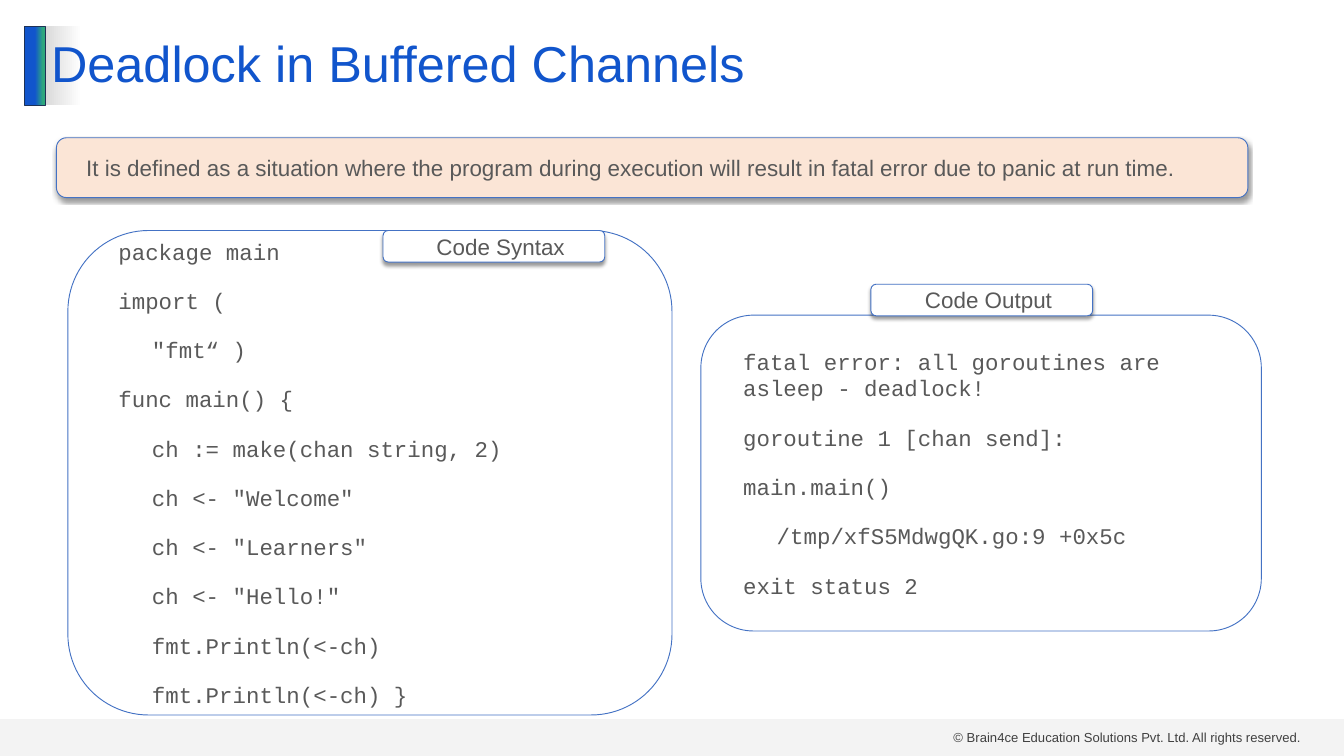
from lxml.etree import SubElement
from pptx import Presentation
from pptx.dml.color import RGBColor
from pptx.enum.shapes import MSO_SHAPE as Shape
from pptx.enum.text import MSO_ANCHOR as Anchor, PP_ALIGN as Align
from pptx.oxml.ns import qn
from pptx.util import Inches, Pt

TITLE = "Deadlock in Buffered Channels"
DEFINITION = ("It is defined as a situation where the program during execution "
              "will result in fatal error due to panic at run time.")
COPYRIGHT = "© Brain4ce Education Solutions Pvt. Ltd. All rights reserved."

PANELS = [
    {
        "label": "Code Syntax", "at": (1.01, 3.43, 8.99, 7.21), "label_at": (5.7, 3.43),
        "lines": [
            (0, "package main"),
            (0, "import ("),
            (1, '"fmt“ )'),
            (0, "func main() {"),
            (1, "ch := make(chan string, 2)"),
            (1, 'ch <- "Welcome"'),
            (1, 'ch <- "Learners"'),
            (1, 'ch <- "Hello!"'),
            (1, "fmt.Println(<-ch)"),
            (1, "fmt.Println(<-ch) }"),
        ],
    },
    {
        "label": "Code Output", "at": (10.43, 4.69, 8.34, 4.7), "label_at": (12.96, 4.23),
        "lines": [
            (0, "fatal error: all goroutines are asleep - deadlock!"),
            (0, "goroutine 1 [chan send]:"),
            (0, "main.main()"),
            (1, "/tmp/xfS5MdwgQK.go:9 +0x5c"),
            (0, "exit status 2"),
        ],
    },
]

THEME = {
    "sans": "Arial", "mono": "Courier New",
    "title_size": 54, "body_size": 24, "footer_size": 14, "gap": 12,
    "blue": "1155CC", "green": "2EA87D", "navy": "1E3256", "outline": "4472C4",
    "text": "595959", "footer_text": "404040", "gray": "D9D9D9",
    "white": "FFFFFF", "peach": "FBE5D6",
}
LABEL_SIZE = (3.3, 0.47)
TEXT_INDENT, CODE_STEP = 0.2, 0.5


def color(name):
    return RGBColor.from_string(THEME[name])


def write(box, lines, font="sans", size="body_size", ink="text", align=Align.LEFT,
          indent=0, gap=0, spacing=None, anchor=Anchor.MIDDLE, insets=(0.1, 0.05)):
    frame = box.text_frame
    frame.word_wrap = True
    frame.vertical_anchor = anchor
    frame.margin_left = frame.margin_right = Inches(insets[0])
    frame.margin_top = frame.margin_bottom = Inches(insets[1])
    for number, (depth, text) in enumerate(lines):
        para = frame.add_paragraph() if number else frame.paragraphs[0]
        para.alignment = align
        para.line_spacing = spacing
        para.space_before = Pt(gap if number else 0)
        para.space_after = Pt(gap)
        properties = para._p.get_or_add_pPr()
        properties.set("marL", str(Inches(indent + depth * CODE_STEP)))
        properties.set("indent", "0")
        span = para.add_run()
        span.text = text
        span.font.name = THEME[font]
        span.font.size = Pt(THEME[size])
        span.font.color.rgb = color(ink)


def add_box(page, at, kind=Shape.ROUNDED_RECTANGLE, fill=None, line="outline", shadow=False):
    box = page.shapes.add_shape(kind, *map(Inches, at))
    box.shadow.inherit = False
    if fill:
        box.fill.solid()
        box.fill.fore_color.rgb = color(fill)
    else:
        box.fill.background()
    if line:
        box.line.color.rgb = color(line)
        box.line.width = Pt(1)
    else:
        box.line.fill.background()
    if shadow:
        effects = box._element.spPr.find(qn("a:effectLst"))
        outer = SubElement(effects, qn("a:outerShdw"), blurRad=str(Pt(4)), dist=str(Pt(3)),
                           dir="5400000", algn="t", rotWithShape="0")
        black = SubElement(outer, qn("a:srgbClr"), val="000000")
        SubElement(black, qn("a:alpha"), val="40000")
    return box


def add_gradient(box, stops):
    box.fill.gradient()
    box.fill.gradient_angle = 0
    for stop, (position, name) in zip(box.fill.gradient_stops, stops):
        stop.position = position
        stop.color.rgb = color(name)


def add_footer(page):
    band = add_box(page, (0, 10.7, 20, 0.55), Shape.RECTANGLE, fill="gray", line=None)
    tint = band._element.spPr.find(qn("a:solidFill")).find(qn("a:srgbClr"))
    SubElement(tint, qn("a:alpha"), val="29000")
    note = page.shapes.add_textbox(*map(Inches, (14.09, 10.8, 5.41, 0.34)))
    write(note, [(0, COPYRIGHT)], size="footer_size", ink="footer_text", anchor=Anchor.TOP)


def add_title(page):
    title = page.shapes.title
    title.left, title.top, title.width, title.height = map(Inches, (0.66, 0.39, 18.67, 1.18))
    add_gradient(title, [(0, "gray"), (0.03, "white")])
    write(title, [(0, TITLE)], size="title_size", ink="blue", spacing=0.9)
    accent = add_box(page, (0.37, 0.39, 0.3, 1.18), Shape.RECTANGLE, line="navy")
    add_gradient(accent, [(0.51, "blue"), (0.9, "green")])


def main():
    deck = Presentation()
    deck.slide_width, deck.slide_height = Inches(20), Inches(11.25)
    page = deck.slides.add_slide(deck.slide_layouts[5])
    body = {"indent": TEXT_INDENT, "gap": THEME["gap"], "insets": (0.2, 0.1)}

    add_footer(page)
    add_title(page)
    for panel in PANELS:
        write(add_box(page, panel["at"]), panel["lines"], font="mono", **body)
        label = add_box(page, panel["label_at"] + LABEL_SIZE, fill="white", shadow=True)
        write(label, [(0, panel["label"])], align=Align.CENTER, **body)
    banner = add_box(page, (0.84, 2.05, 17.73, 0.89), fill="peach", shadow=True)
    write(banner, [(0, DEFINITION)], **body)

    deck.save("out.pptx")


if __name__ == "__main__":
    main()
